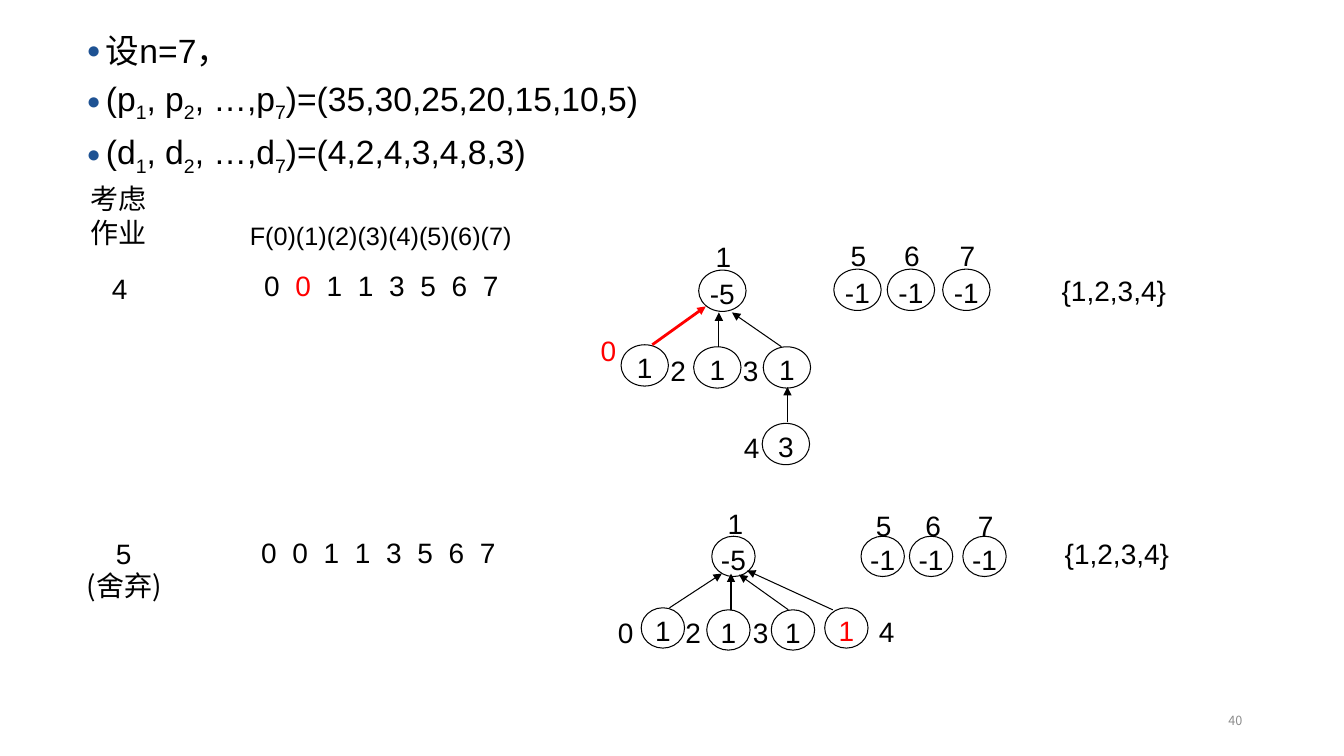
"""Build the job scheduling slide with its two union-find forests."""
from dataclasses import dataclass

import lxml.etree
import pptx
import pptx.dml.color
import pptx.enum.shapes
import pptx.enum.text
import pptx.oxml.ns
import pptx.shapes.shapetree
import pptx.slide
import pptx.text.text
import pptx.util

Inches = pptx.util.Inches
Pt = pptx.util.Pt
qn = pptx.oxml.ns.qn
ALIGN = pptx.enum.text.PP_ALIGN
SHAPE = pptx.enum.shapes.MSO_SHAPE
LINE = pptx.enum.shapes.MSO_CONNECTOR

COLORS = {"ink": "000000", "red": "FF0000", "blue": "1E5293", "gray": "8C8C8C"}
LATIN = "Arial"
HAN = "Noto Sans CJK SC"
STEP = 0.31


@dataclass
class Node:
    x: float
    y: float
    text: str
    tag: str
    dx: float = 0.16
    dy: float = -0.3
    color: str = "ink"
    tint: str = "ink"


@dataclass
class Edge:
    x1: float
    y1: float
    x2: float
    y2: float
    color: str = "ink"
    width: float = 0.75


@dataclass
class Forest:
    width: float
    height: float
    nodes: list[Node]
    edges: list[Edge]


@dataclass
class Label:
    x: float
    y: float
    width: float
    height: float
    text: str
    font: str = LATIN


@dataclass
class Row:
    x: float
    y: float
    marked: int | None = None


LINES = ["设n=7，",
         "(p|1|, p|2|, …,p|7|)=(35,30,25,20,15,10,5)",
         "(d|1|, d|2|, …,d|7|)=(4,2,4,3,4,8,3)"]

FORESTS = [
    Forest(0.47, 0.41, [
        Node(6.16, 3.42, "1", "0", -0.21, -0.11, tint="red"),
        Node(6.93, 2.68, "-5", "1"),
        Node(6.88, 3.44, "1", "2", -0.24, 0.07),
        Node(7.57, 3.44, "1", "3", -0.21, 0.07),
        Node(7.56, 4.2, "3", "4", -0.19, 0.07),
        Node(8.27, 2.67, "-1", "5"),
        Node(8.8, 2.67, "-1", "6"),
        Node(9.35, 2.67, "-1", "7"),
    ], [
        Edge(7.81, 4.19, 7.81, 3.84),
        Edge(7.13, 3.44, 7.13, 3.1),
        Edge(7.75, 3.44, 7.26, 3.1),
        Edge(6.47, 3.42, 7, 3.04, "red", 2),
    ]),
    Forest(0.43, 0.4, [
        Node(6.36, 6.03, "1", "0", -0.24, 0.08),
        Node(7.06, 5.32, "-5", "1", 0.15, -0.29),
        Node(7.01, 6.05, "1", "2", -0.22, 0.06),
        Node(7.65, 6.05, "1", "3", -0.19, 0.06),
        Node(8.18, 6.03, "1", "4", 0.53, 0.07, color="red"),
        Node(8.54, 5.32, "-1", "5", 0.14, -0.28),
        Node(9.02, 5.32, "-1", "6", 0.15, -0.28),
        Node(9.55, 5.32, "-1", "7", 0.14, -0.28),
    ], [
        Edge(8.26, 6.05, 7.41, 5.66),
        Edge(7.25, 6.05, 7.25, 5.69),
        Edge(7.82, 6.05, 7.33, 5.7),
        Edge(6.64, 6.03, 7.16, 5.69),
    ]),
]

LABELS = [
    Label(0.9, 1.8, 0.72, 0.79, "考虑\n作业", HAN),
    Label(1.11, 2.69, 0.16, 0.34, "4"),
    Label(10.53, 2.71, 1.24, 0.34, "{1,2,3,4}"),
    Label(1.15, 5.32, 0.24, 0.34, "5"),
    Label(0.86, 5.64, 0.85, 0.34, "(舍弃)", HAN),
    Label(10.56, 5.32, 1.18, 0.39, "{1,2,3,4}"),
]

ROWS = [Row(2.62, 2.66, 1), Row(2.59, 5.31)]


def rgb(name: str) -> pptx.dml.color.RGBColor:
    """Look up a colour by name."""
    return pptx.dml.color.RGBColor.from_string(COLORS[name])


def paint(run: pptx.text.text._Run, size: float = 20, color: str = "ink", font: str = LATIN) -> None:
    """Set the size, colour and fonts of a run."""
    run.font.size = Pt(size)
    run.font.color.rgb = rgb(color)
    run.font.name = font
    latin = run._r.get_or_add_rPr().find(qn("a:latin"))
    east = lxml.etree.Element(qn("a:ea"), typeface=HAN)
    latin.addnext(east)


def write(frame: pptx.text.text.TextFrame, text: str, size: float = 20, color: str = "ink",
          font: str = LATIN, align: ALIGN = ALIGN.LEFT, pad: float = 0) -> None:
    """Fill a text frame with evenly styled text."""
    frame.text = text
    frame.word_wrap = True
    frame.margin_left = frame.margin_right = Inches(pad)
    frame.margin_top = frame.margin_bottom = Inches(pad / 2)
    frame.vertical_anchor = pptx.enum.text.MSO_ANCHOR.TOP
    for para in frame.paragraphs:
        para.alignment = align
        for run in para.runs:
            paint(run, size, color, font)


def box(shapes: pptx.shapes.shapetree._BaseGroupShapes, *place: float) -> pptx.text.text.TextFrame:
    """Add a text box and return its frame."""
    return shapes.add_textbox(*map(Inches, place)).text_frame


def draw_node(shapes: pptx.shapes.shapetree.GroupShapes, node: Node, wide: float, high: float) -> None:
    """Draw a circled value and its index."""
    oval = shapes.add_shape(SHAPE.OVAL, *map(Inches, (node.x, node.y, wide, high)))
    oval.shadow.inherit = False
    oval.fill.background()
    oval.line.color.rgb = rgb("ink")
    oval.line.width = Pt(0.75)
    write(oval.text_frame, node.text, color=node.color, align=ALIGN.CENTER)
    frame = box(shapes, node.x + node.dx, node.y + node.dy, 0.17, 0.26)
    write(frame, node.tag, color=node.tint, align=ALIGN.CENTER)


def draw_edge(shapes: pptx.shapes.shapetree.GroupShapes, edge: Edge) -> None:
    """Draw an arrow from child to parent."""
    ends = map(Inches, (edge.x1, edge.y1, edge.x2, edge.y2))
    arrow = shapes.add_connector(LINE.STRAIGHT, *ends)
    arrow.line.color.rgb = rgb(edge.color)
    arrow.line.width = Pt(edge.width)
    lxml.etree.SubElement(arrow.line._get_or_add_ln(), qn("a:tailEnd"), type="triangle")
    lxml.etree.SubElement(arrow._element.spPr, qn("a:effectLst"))


def draw_row(slide: pptx.slide.Slide, row: Row) -> None:
    """Write the values of F on even tab stops."""
    frame = box(slide.shapes, row.x, row.y, 2.75, 0.39)
    write(frame, "")
    para = frame.paragraphs[0]
    tabs = lxml.etree.SubElement(para._p.get_or_add_pPr(), qn("a:tabLst"))
    for spot, digit in enumerate("00113567"):
        if spot:
            lxml.etree.SubElement(tabs, qn("a:tab"), pos=str(Inches(STEP * spot)), algn="l")
        run = para.add_run()
        run.text = "\t" + digit if spot else digit
        paint(run, color="red" if spot == row.marked else "ink")


def draw_line(para: pptx.text.text._Paragraph, line: str, gap: float) -> None:
    """Write a bulleted line whose odd parts are subscripts."""
    props = para._p.get_or_add_pPr()
    props.set("marL", str(Inches(0.19)))
    props.set("indent", str(Inches(-0.19)))
    tint = lxml.etree.SubElement(props, qn("a:buClr"))
    lxml.etree.SubElement(tint, qn("a:srgbClr"), val=COLORS["blue"])
    lxml.etree.SubElement(props, qn("a:buSzPct"), val="70000")
    lxml.etree.SubElement(props, qn("a:buFont"), typeface=LATIN)
    lxml.etree.SubElement(props, qn("a:buChar"), char="●")
    para.line_spacing = 1.1
    para.space_before = Pt(gap)
    for spot, part in enumerate(line.split("|")):
        run = para.add_run()
        run.text = part
        paint(run, 24)
        if spot % 2:
            run._r.get_or_add_rPr().set("baseline", "-25000")


def main() -> None:
    """Build and save the slide."""
    deck = pptx.Presentation()
    deck.slide_width, deck.slide_height = Inches(13.33), Inches(7.5)
    slide = deck.slides.add_slide(deck.slide_layouts[1])
    title, body = slide.placeholders
    title._element.getparent().remove(title._element)
    body.left, body.top, body.width, body.height = map(Inches, (0.76, 0.21, 6.02, 1.81))
    frame = body.text_frame
    for spot, line in enumerate(LINES):
        draw_line(frame.add_paragraph() if spot else frame.paragraphs[0], line, 2 if spot else 0)
    for label in LABELS:
        place = label.x, label.y, label.width, label.height
        write(box(slide.shapes, *place), label.text, font=label.font)
    write(box(slide.shapes, 2.38, 2.14, 3.07, 0.4), "F(0)(1)(2)(3)(4)(5)(6)(7)", 18, pad=0.1)
    for row in ROWS:
        draw_row(slide, row)
    for forest in FORESTS:
        shapes = slide.shapes.add_group_shape().shapes
        for node in forest.nodes:
            draw_node(shapes, node, forest.width, forest.height)
        for edge in forest.edges:
            draw_edge(shapes, edge)
    frame = box(slide.shapes, 9.42, 6.95, 3, 0.4)
    write(frame, "40", 9, "gray", HAN, ALIGN.RIGHT, 0.1)
    frame.vertical_anchor = pptx.enum.text.MSO_ANCHOR.MIDDLE
    deck.save("out.pptx")


if __name__ == "__main__":
    main()
